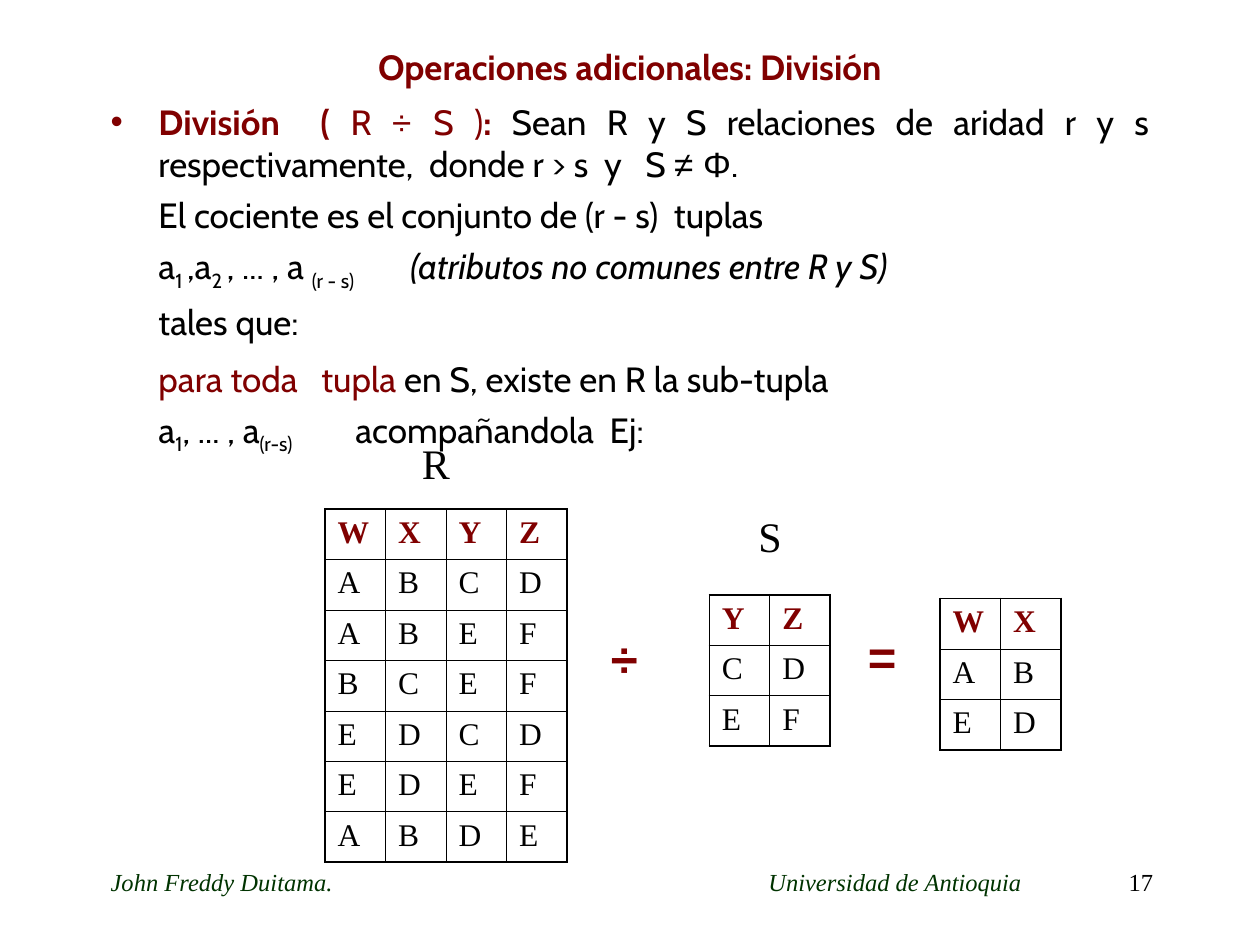
from lxml.etree import SubElement
from pptx import Presentation
from pptx.dml.color import RGBColor
from pptx.enum.text import MSO_ANCHOR, PP_ALIGN
from pptx.oxml.ns import qn
from pptx.util import Inches, Pt

RED, BLACK, GREEN = "800000", "000000", "003300"
SERIF, SANS, SYMBOL = "Times New Roman", "Cabin", "Arial"


def add_run(paragraph, text, size=20, font=SANS, color=BLACK, bold=False,
            italic=False, subscript=False):
    run = paragraph.add_run()
    run.text = text
    run.font.size = Pt(size)
    run.font.name = font
    run.font.bold = bold
    run.font.italic = italic
    run.font.color.rgb = RGBColor.from_string(color)
    if subscript:
        run.font._element.set("baseline", "-25000")


def add_tab_stop(paragraph, position):
    """Add a left tab stop, measured from the paragraph's text edge."""
    tab_list = SubElement(paragraph._p.get_or_add_pPr(), qn("a:tabLst"))
    SubElement(tab_list, qn("a:tab"), pos=str(Inches(position)), algn="l")


presentation = Presentation()
presentation.slide_width = Inches(10)
presentation.slide_height = Inches(7.5)
slide = presentation.slides.add_slide(presentation.slide_layouts[6])
shapes = slide.shapes

# Footer
footer = shapes.add_textbox(Inches(0.78), Inches(6.83), Inches(7.47), Inches(0.5))
footer.text_frame.word_wrap = True
paragraph = footer.text_frame.paragraphs[0]
add_tab_stop(paragraph, 5.22)
add_run(paragraph, "John Freddy Duitama.\tUniversidad de Antioquia",
        size=14, font=SERIF, color=GREEN, italic=True)

# Definition
body = shapes.add_textbox(Inches(0.78), Inches(0.75), Inches(8.44), Inches(6.08))
body.text_frame.word_wrap = True
definition = [
    [("División  ( ", dict(color=RED, bold=True)),
     ("R ", dict(color=RED)),
     ("÷ ", dict(color=RED, font=SYMBOL)),
     ("S )", dict(color=RED)),
     (": ", dict(color=RED, bold=True)),
     ("Sean R y S relaciones de aridad r y s respectivamente,  donde r > s  y   S ", {}),
     ("≠ Φ", dict(font=SYMBOL)),
     (".", {})],
    [("El cociente es el conjunto de (r - s)  tuplas", {})],
    [("a", {}), ("1 ", dict(subscript=True)),
     (",a", {}), ("2 ", dict(subscript=True)),
     (", ... , a ", {}), ("(r - s) \t", dict(subscript=True)),
     ("(atributos no comunes entre R y S)", dict(italic=True))],
    [("tales que:", {})],
    [("para toda   tupla ", dict(color=RED)),
     ("en S, existe en R la sub-tupla", {})],
    [("a", {}), ("1", dict(subscript=True)),
     (", ... , a", {}), ("(r-s) \t", dict(subscript=True)),
     (" acompañandola  Ej:", {})],
]
for index, runs in enumerate(definition):
    paragraph = body.text_frame.paragraphs[0] if index == 0 else body.text_frame.add_paragraph()
    paragraph.alignment = PP_ALIGN.JUSTIFY
    paragraph.space_before = Pt(8.4 if index == 4 else 5)
    properties = paragraph._p.get_or_add_pPr()
    properties.set("marL", str(Inches(0.38)))
    properties.set("indent", str(Inches(-0.38 if index == 0 else 0)))
    if index == 0:
        bullet_color = SubElement(properties, qn("a:buClr"))
        SubElement(bullet_color, qn("a:srgbClr"), val=RED)
        SubElement(properties, qn("a:buFont"), typeface=SYMBOL)
        SubElement(properties, qn("a:buChar"), char="•")
    else:
        add_tab_stop(paragraph, 2)
    for text, text_format in runs:
        add_run(paragraph, text, **text_format)

# Relations: left, top, rows with one letter per cell
relations = [
    (2.58, 4.04, ["WXYZ", "ABCD", "ABEF", "BCEF", "EDCD", "EDEF", "ABDE"]),
    (5.63, 4.72, ["YZ", "CD", "EF"]),
    (7.46, 4.75, ["WX", "AB", "ED"]),
]
COLUMN_WIDTH, ROW_HEIGHT = 0.48, 0.4
for left, top, rows in relations:
    row_count, column_count = len(rows), len(rows[0])
    table = shapes.add_table(
        row_count, column_count, Inches(left), Inches(top),
        Inches(COLUMN_WIDTH * column_count), Inches(ROW_HEIGHT * row_count)).table
    table.first_row = False
    table.horz_banding = False
    for column in table.columns:
        column.width = Inches(COLUMN_WIDTH)
    for row_index, letters in enumerate(rows):
        table.rows[row_index].height = Inches(ROW_HEIGHT)
        header = row_index == 0
        for column_index, letter in enumerate(letters):
            cell = table.cell(row_index, column_index)
            add_run(cell.text_frame.paragraphs[0], letter, size=18, font=SERIF,
                    color=RED if header else BLACK, bold=header)
            outer_edges = {
                "a:lnL": column_index == 0,
                "a:lnR": column_index == column_count - 1,
                "a:lnT": header,
                "a:lnB": row_index == row_count - 1,
            }
            cell_properties = cell._tc.get_or_add_tcPr()
            for edge, is_outer in outer_edges.items():
                line = SubElement(cell_properties, qn(edge),
                                  w=str(Pt(1.08 if is_outer else 0.45)))
                line_fill = SubElement(line, qn("a:solidFill"))
                SubElement(line_fill, qn("a:srgbClr"), val=BLACK)
            cell.fill.background()

# Title, page number, operators and relation names
operator = dict(size=28, font=SYMBOL, color=RED, bold=True)
relation_name = dict(size=24, font=SERIF)
labels = [
    ("Operaciones adicionales: División", 0.78, 0.31, 8.44, 0.44,
     PP_ALIGN.CENTER, MSO_ANCHOR.MIDDLE, dict(color=RED, bold=True)),
    ("17", 8.25, 6.83, 1, 0.5, PP_ALIGN.RIGHT, MSO_ANCHOR.TOP, dict(size=14, font=SERIF)),
    ("÷", 4.75, 4.94, 0.55, 0.57, PP_ALIGN.LEFT, MSO_ANCHOR.TOP, operator),
    ("=", 6.79, 4.92, 0.55, 0.57, PP_ALIGN.LEFT, MSO_ANCHOR.TOP, operator),
    ("R", 3.25, 3.42, 0.67, 0.5, PP_ALIGN.LEFT, MSO_ANCHOR.TOP, relation_name),
    ("S", 5.92, 4, 0.67, 0.5, PP_ALIGN.LEFT, MSO_ANCHOR.TOP, relation_name),
]
for text, left, top, width, height, alignment, anchor, text_format in labels:
    label = shapes.add_textbox(Inches(left), Inches(top), Inches(width), Inches(height))
    label.text_frame.word_wrap = True
    label.text_frame.vertical_anchor = anchor
    paragraph = label.text_frame.paragraphs[0]
    paragraph.alignment = alignment
    add_run(paragraph, text, **text_format)

presentation.save("out.pptx")
